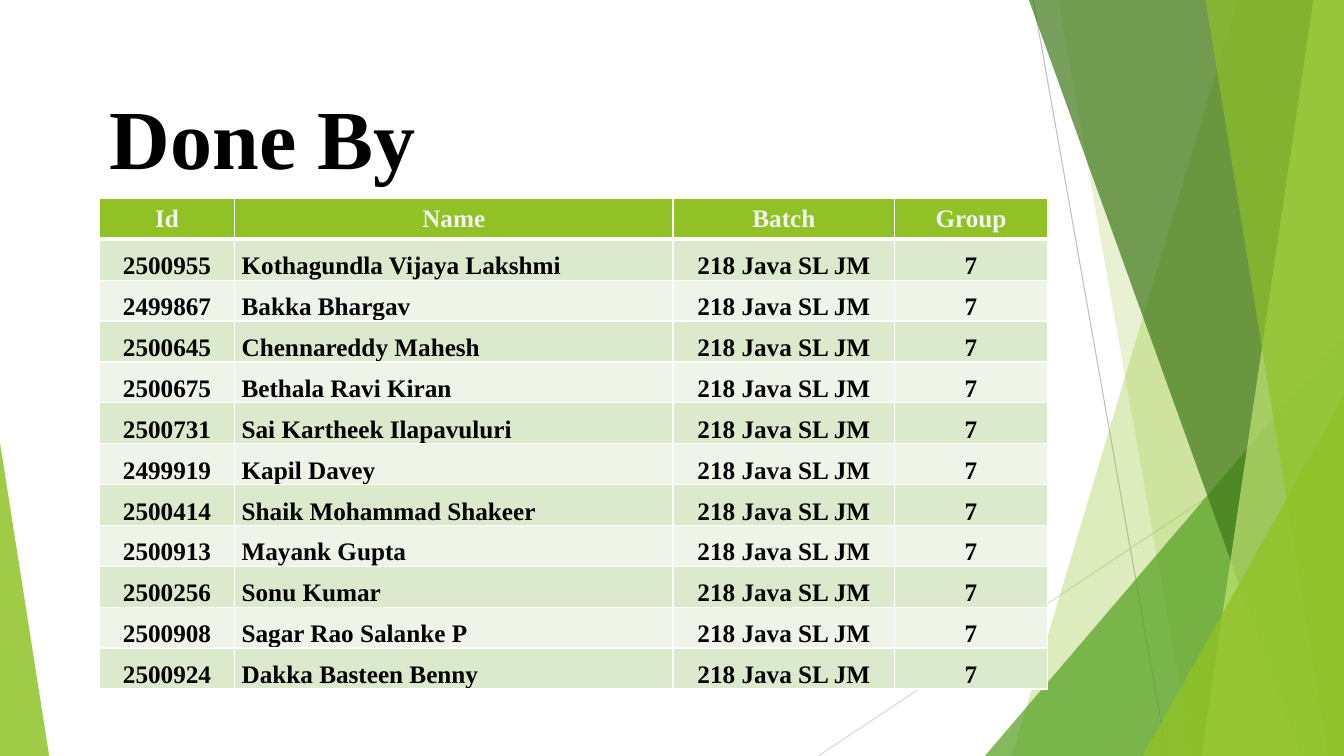
from lxml.etree import SubElement
from pptx import Presentation
from pptx.dml.color import RGBColor
from pptx.enum.shapes import MSO_CONNECTOR, MSO_SHAPE
from pptx.enum.text import MSO_ANCHOR, MSO_AUTO_SIZE, PP_ALIGN
from pptx.oxml.ns import qn
from pptx.util import Cm, Pt

WIDTH, HEIGHT = 33.87, 19.05
LIME, WHITE, BLACK = "90C226", "FFFFFF", "000000"
BANDS = ("DBE9CD", "EEF4E8")
COLUMN_WIDTHS = (3.4, 11.05, 5.59, 3.84)
ROW_HEIGHT = 1.03
HEADINGS = ("Id", "Name", "Batch", "Group")
BATCH, GROUP = "218 Java SL JM", "7"
MEMBERS = (
    ("2500955", "Kothagundla Vijaya Lakshmi"),
    ("2499867", "Bakka Bhargav"),
    ("2500645", "Chennareddy Mahesh"),
    ("2500675", "Bethala Ravi Kiran"),
    ("2500731", "Sai Kartheek Ilapavuluri"),
    ("2499919", "Kapil Davey"),
    ("2500414", "Shaik Mohammad Shakeer"),
    ("2500913", "Mayank Gupta"),
    ("2500256", "Sonu Kumar"),
    ("2500908", "Sagar Rao Salanke P"),
    ("2500924", "Dakka Basteen Benny"),
)


def color(hex_string):
    return RGBColor.from_string(hex_string)


def write_text(frame, text, size=18, font="Times New Roman", fill=BLACK,
               bold=True, align=PP_ALIGN.LEFT):
    paragraph = frame.paragraphs[0]
    paragraph.alignment = align
    run = paragraph.add_run()
    run.text = text
    run.font.name = font
    run.font.size = Pt(size)
    run.font.bold = bold
    run.font.color.rgb = color(fill)


def add_border(cell, side, points):
    line = SubElement(cell._tc.get_or_add_tcPr(), qn(f"a:ln{side}"), w=str(Pt(points)))
    fill = SubElement(line, qn("a:solidFill"))
    SubElement(fill, qn("a:srgbClr"), val=WHITE)


class SlideBuilder:
    """Adds styled elements to one slide, with lengths in centimetres."""

    def __init__(self, slide):
        self.slide = slide
        self.shapes = slide.shapes

    def paint(self, shape, fill, opacity):
        shape.shadow.inherit = False
        shape.line.fill.background()
        shape.fill.solid()
        shape.fill.fore_color.rgb = color(fill)
        srgb = shape.fill._xPr.find(qn("a:solidFill")).find(qn("a:srgbClr"))
        SubElement(srgb, qn("a:alpha"), val=str(opacity * 1000))

    def line(self, start, end, stroke):
        ends = [Cm(value) for value in (*start, *end)]
        connector = self.shapes.add_connector(MSO_CONNECTOR.STRAIGHT, *ends)
        connector.line.color.rgb = color(stroke)
        connector.line.width = Pt(0.75)
        SubElement(connector._element.spPr, qn("a:effectLst"))

    def ribbon(self, top_left, bottom_left, fill, opacity):
        """Fill from a slanted left edge to the right side of the slide."""
        builder = self.shapes.build_freeform(Cm(top_left), 0)
        corners = ((WIDTH, 0), (WIDTH, HEIGHT), (bottom_left, HEIGHT))
        builder.add_line_segments([(Cm(x), Cm(y)) for x, y in corners])
        self.paint(builder.convert_to_shape(), fill, opacity)

    def corner_triangle(self, left, top, width, apex, fill, opacity):
        """Stand a right-angled triangle on the bottom of the slide."""
        triangle = self.shapes.add_shape(
            MSO_SHAPE.ISOSCELES_TRIANGLE,
            Cm(left), Cm(top), Cm(width), Cm(HEIGHT - top))
        triangle.adjustments[0] = apex
        self.paint(triangle, fill, opacity)

    def title(self, text, left, top, width, height):
        title = self.shapes.title
        title.left, title.top = Cm(left), Cm(top)
        title.width, title.height = Cm(width), Cm(height)
        frame = title.text_frame
        frame.word_wrap = True
        frame.auto_size = MSO_AUTO_SIZE.NONE
        frame.vertical_anchor = MSO_ANCHOR.TOP
        frame.margin_top = Cm(0.41)
        write_text(frame, text, size=60)
        self.shapes._spTree.append(title._element)

    def cell(self, cell, text, is_header, fill, align):
        cell.margin_left = cell.margin_right = Cm(0.18)
        cell.margin_top = cell.margin_bottom = 0
        cell.vertical_anchor = MSO_ANCHOR.MIDDLE if is_header else MSO_ANCHOR.BOTTOM
        for side in "LRTB":
            add_border(cell, side, 3 if is_header and side == "B" else 1)
        cell.fill.solid()
        cell.fill.fore_color.rgb = color(fill)
        write_text(cell.text_frame, text, align=align,
                   fill="F2F2F2" if is_header else BLACK)

    def table(self, rows, left, top):
        table = self.shapes.add_table(
            len(rows), len(COLUMN_WIDTHS), Cm(left), Cm(top),
            Cm(sum(COLUMN_WIDTHS)), Cm(ROW_HEIGHT * len(rows))).table
        table.horz_banding = False
        for column, width in zip(table.columns, COLUMN_WIDTHS):
            column.width = Cm(width)
        for row_index, values in enumerate(rows):
            table.rows[row_index].height = Cm(ROW_HEIGHT)
            is_header = row_index == 0
            fill = LIME if is_header else BANDS[(row_index - 1) % 2]
            for column_index, text in enumerate(values):
                is_name = column_index == 1 and not is_header
                align = PP_ALIGN.LEFT if is_name else PP_ALIGN.CENTER
                self.cell(table.cell(row_index, column_index), text,
                          is_header, fill, align)


def main():
    presentation = Presentation()
    presentation.slide_width, presentation.slide_height = Cm(WIDTH), Cm(HEIGHT)
    slide = presentation.slides.add_slide(presentation.slide_layouts[5])
    builder = SlideBuilder(slide)

    builder.line((26.04, 0), (29.41, HEIGHT), "BFBFBF")
    builder.line((WIDTH, 10.24), (20.62, HEIGHT), "D9D9D9")
    builder.ribbon(31.19, 25.5, LIME, 30)
    builder.ribbon(26.67, 30.05, LIME, 20)
    builder.corner_triangle(24.82, 8.46, 9.05, 1, "54A021", 72)
    builder.ribbon(25.93, 32.79, "3F7819", 70)
    builder.ribbon(33.1, 30.28, "C0E474", 70)
    builder.ribbon(30.38, 33.48, LIME, 65)
    builder.corner_triangle(28.8, 9.98, 5.07, 1, LIME, 80)
    builder.corner_triangle(0, 11.15, 1.24, 0, LIME, 85)

    builder.title("Done By", 2.51, 1.75, 23.88, 3.66)
    rows = [HEADINGS] + [(*member, BATCH, GROUP) for member in MEMBERS]
    builder.table(rows, 2.51, 5)
    presentation.save("out.pptx")


if __name__ == "__main__":
    main()
